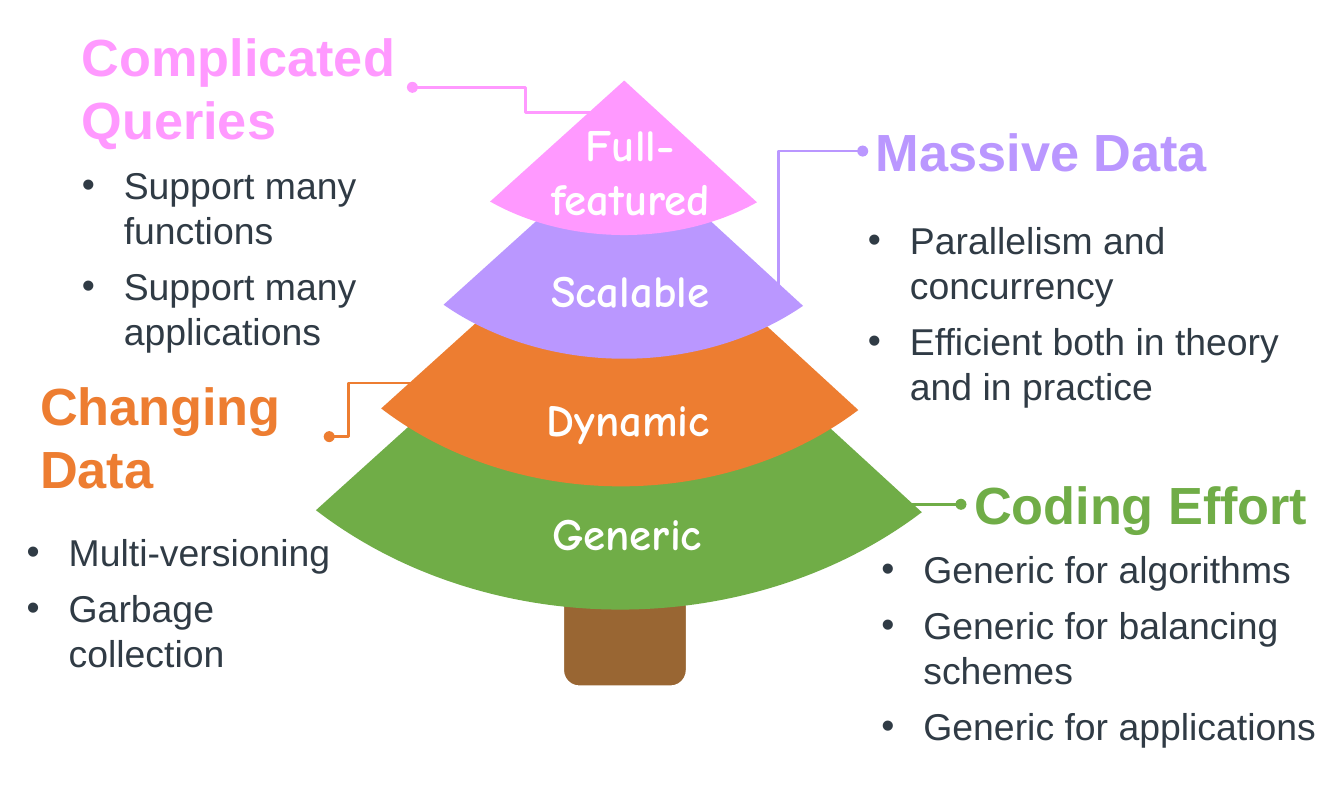
from lxml.etree import SubElement
from pptx import Presentation
from pptx.dml.color import RGBColor
from pptx.enum.shapes import MSO_CONNECTOR as Link, MSO_SHAPE as Preset
from pptx.enum.text import MSO_AUTO_SIZE as Fit, PP_ALIGN as Align
from pptx.oxml.ns import qn
from pptx.util import Pt

COLORS = {
    "pink": "FF99FF",
    "purple": "BA97FF",
    "orange": "ED7D31",
    "green": "70AD47",
    "trunk": "996633",
    "white": "FFFFFF",
    "ink": "303B45",
}

TREE_BOX = (170, 43, 328, 325)
TIERS = [
    ("Generic", "green", (-1.7, 83.3, 480.2, 401), (1.9, 224.8, 101.5, 36)),
    ("Dynamic", "orange", (-1.4, 60, 378.7, 315.4), (2.6, 163.6, 110.2, 36)),
    ("Scalable", "purple", (0.4, 33, 293, 232.6), (3.7, 94.5, 112.3, 36)),
    ("Full-featured", "pink", (0.4, 0.2, 231.1, 165.6), (3.7, 16, 139.7, 65.5)),
]

TOPICS = [
    dict(title="Complicated Queries", color="pink", box=(36.7, 9.4, 243.4, 184.3),
         heading=(0, 184.3, 74.9), drop=74.1, dot_side=1, reach=(121.5, 13.6), bend=0.5,
         points=["Support many functions", "Support many applications"]),
    dict(title="Massive Data", color="purple", box=(457.9, 60.5, 252, 162.7),
         heading=(4.3, 214.6, 41), drop=52.5, dot_side=0, reach=(-45.3, 76.7), bend=0,
         points=["Parallelism and concurrency", "Efficient both in theory and in practice"]),
    dict(title="Changing Data", color="orange", box=(7.2, 196.6, 180.7, 169.2),
         heading=(7.2, 162, 74.9), drop=83.5, dot_side=1, reach=(82.8, -28.8), bend=0.876,
         points=["Multi-versioning", "Garbage collection"]),
    dict(title="Coding Effort", color="green", box=(465.1, 249.8, 249.1, 156.2),
         heading=(49.7, 200, 41), drop=39.6, dot_side=0, reach=(-77.8, -11.1), bend=0.5,
         points=["Generic for algorithms", "Generic for balancing schemes",
                 "Generic for applications"]),
]


def rgb(color):
    """Return the palette colour of that name."""
    return RGBColor.from_string(COLORS[color])


def add_text(slide, box, lines, font, size, color, bold=True, wrap=True):
    """Add a text box with one paragraph per line and return its paragraphs."""
    frame = slide.shapes.add_textbox(*map(Pt, box)).text_frame
    frame.text = "\n".join(lines)
    frame.word_wrap = wrap
    frame.auto_size = Fit.SHAPE_TO_FIT_TEXT
    for paragraph in frame.paragraphs:
        for run in paragraph.runs:
            run.font.name = font
            run.font.size = Pt(size)
            run.font.bold = bold
            run.font.color.rgb = rgb(color)
    return frame.paragraphs


def add_solid(slide, preset, box, color):
    """Add a filled shape without outline or shadow."""
    solid = slide.shapes.add_shape(preset, *map(Pt, box))
    solid.shadow.inherit = False
    solid.fill.solid()
    solid.fill.fore_color.rgb = rgb(color)
    solid.line.fill.background()
    return solid


def add_leader(slide, start, dot, bend, color):
    """Add an elbow line that ends in a round dot."""
    leader = slide.shapes.add_connector(Link.ELBOW, *map(Pt, start + dot))
    leader.line.color.rgb = rgb(color)
    leader.line.width = Pt(1.5)
    properties = leader._element.spPr
    SubElement(properties.find(qn("a:ln")), qn("a:tailEnd"), type="oval")
    SubElement(properties, qn("a:effectLst"))
    guides = properties.find(qn("a:prstGeom")).find(qn("a:avLst"))
    SubElement(guides, qn("a:gd"), name="adj1", fmla=f"val {round(bend * 100000)}")


def add_tree(slide, box):
    """Draw the trunk, the overlapping tiers and their labels."""
    left, top, width, height = box
    center = left + width / 2
    trunk = add_solid(slide, Preset.ROUNDED_RECTANGLE,
                      (center - 32.3, top + height - 51.9, 66.2, 51.8), "trunk")
    trunk.line.color.rgb = rgb("white")
    trunk.line.width = Pt(1)
    for _, color, (shift, apex, wide, high), _ in TIERS:
        ellipse = (center + shift - wide / 2, top + apex - high / 2, wide, high)
        tier = add_solid(slide, Preset.PIE, ellipse, color)
        tier.adjustments[0] = 25.529
        tier.adjustments[1] = 82.745
    for name, _, _, (shift, drop, wide, high) in TIERS:
        label_box = (center + shift - wide / 2, top + drop, wide, high)
        label = add_text(slide, label_box, [name], "Comic Neue", 24, "white",
                         wrap=name == "Full-featured")
        label[0].alignment = Align.CENTER


def add_topic(slide, box, title, color, heading, drop, dot_side, reach, bend, points):
    """Draw a heading, its bullet points and the leader to its tier."""
    left, top, width, height = box
    indent, wide, high = heading
    add_text(slide, (left + indent, top, wide, high), [title], "Arial", 28, color)
    bullets = add_text(slide, (left, top + drop, width, height - drop), points,
                       "Arial", 20, "ink", bold=False)
    for bullet in bullets:
        bullet.space_after = Pt(6)
        layout = bullet._p.get_or_add_pPr()
        layout.set("marL", str(Pt(22.5)))
        layout.set("indent", str(-Pt(22.5)))
        SubElement(layout, qn("a:buFont"), typeface="Arial")
        SubElement(layout, qn("a:buChar"), char="•")
    dot = (left + indent + dot_side * wide, top + high / 2)
    start = (dot[0] + reach[0], dot[1] + reach[1])
    add_leader(slide, start, dot, bend, color)


def main():
    """Build the slide and save it."""
    deck = Presentation()
    deck.slide_width, deck.slide_height = Pt(720), Pt(432)
    slide = deck.slides.add_slide(deck.slide_layouts[6])
    add_tree(slide, TREE_BOX)
    for topic in TOPICS:
        add_topic(slide, **topic)
    deck.save("out.pptx")


if __name__ == "__main__":
    main()
